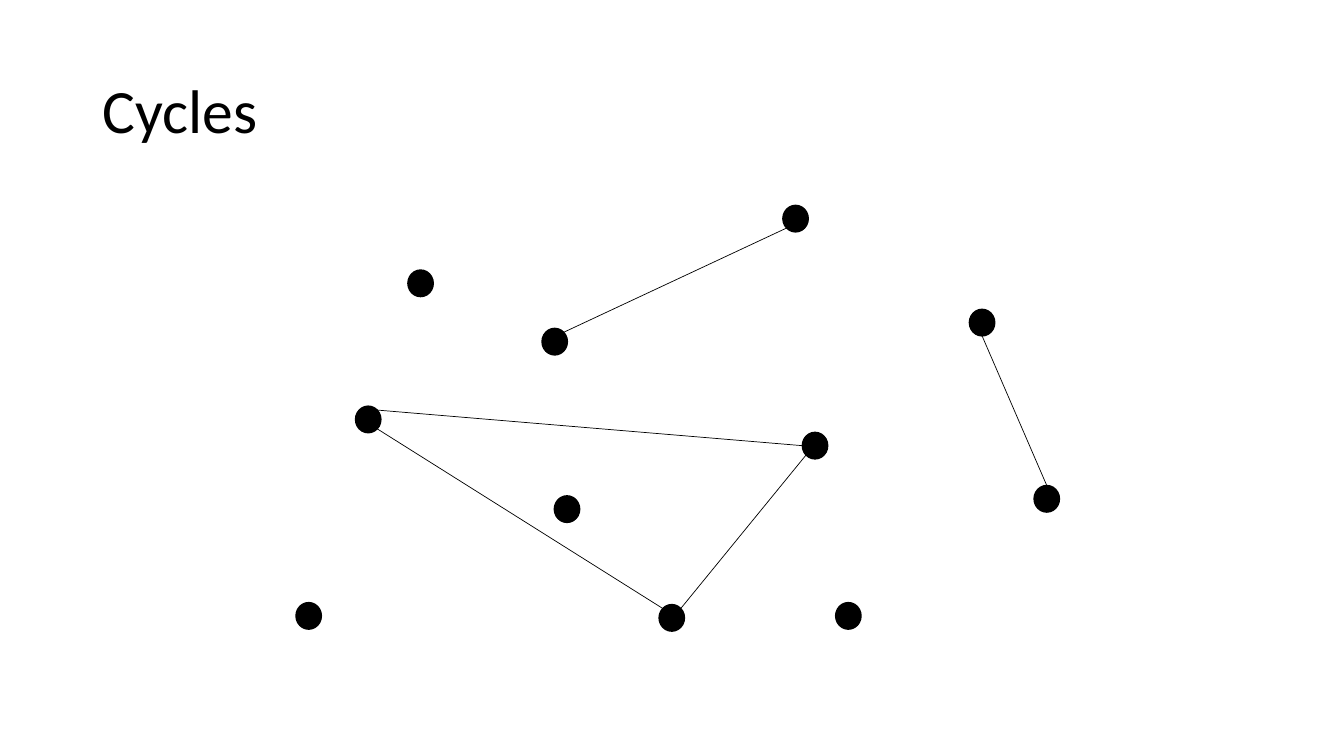
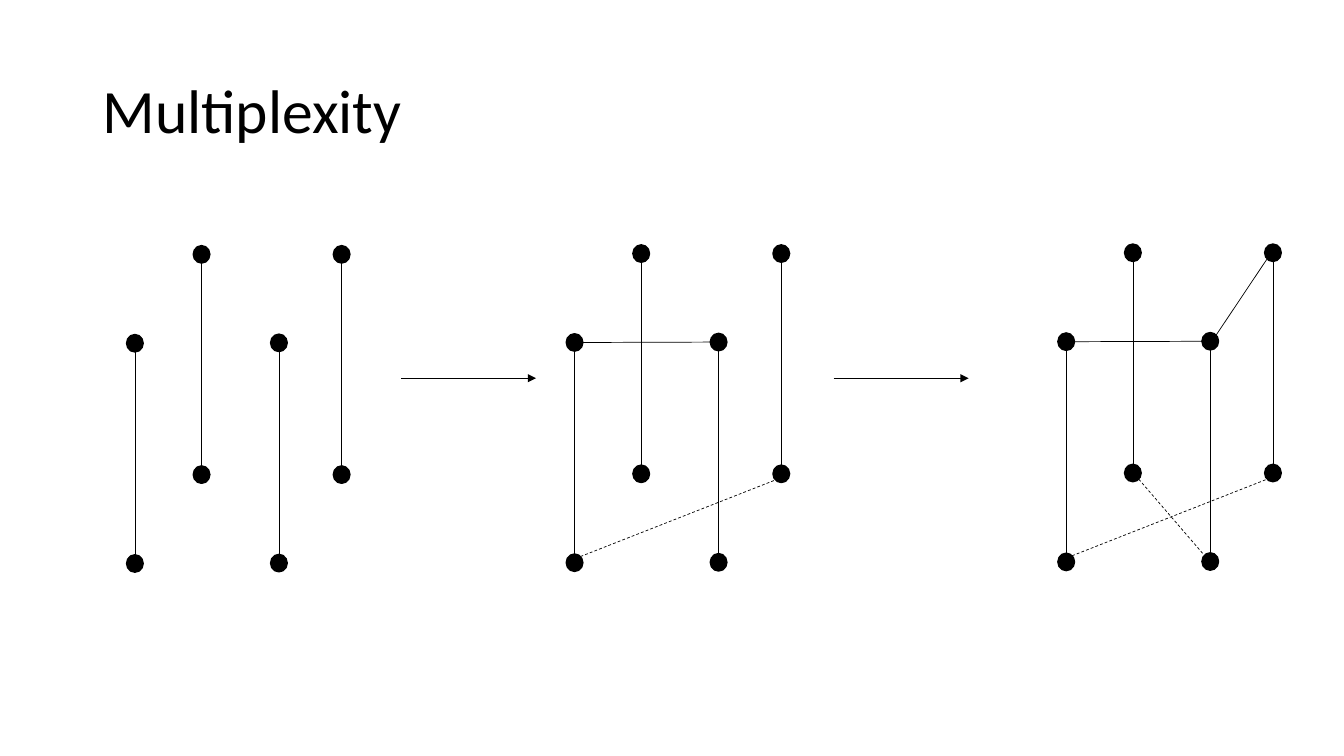
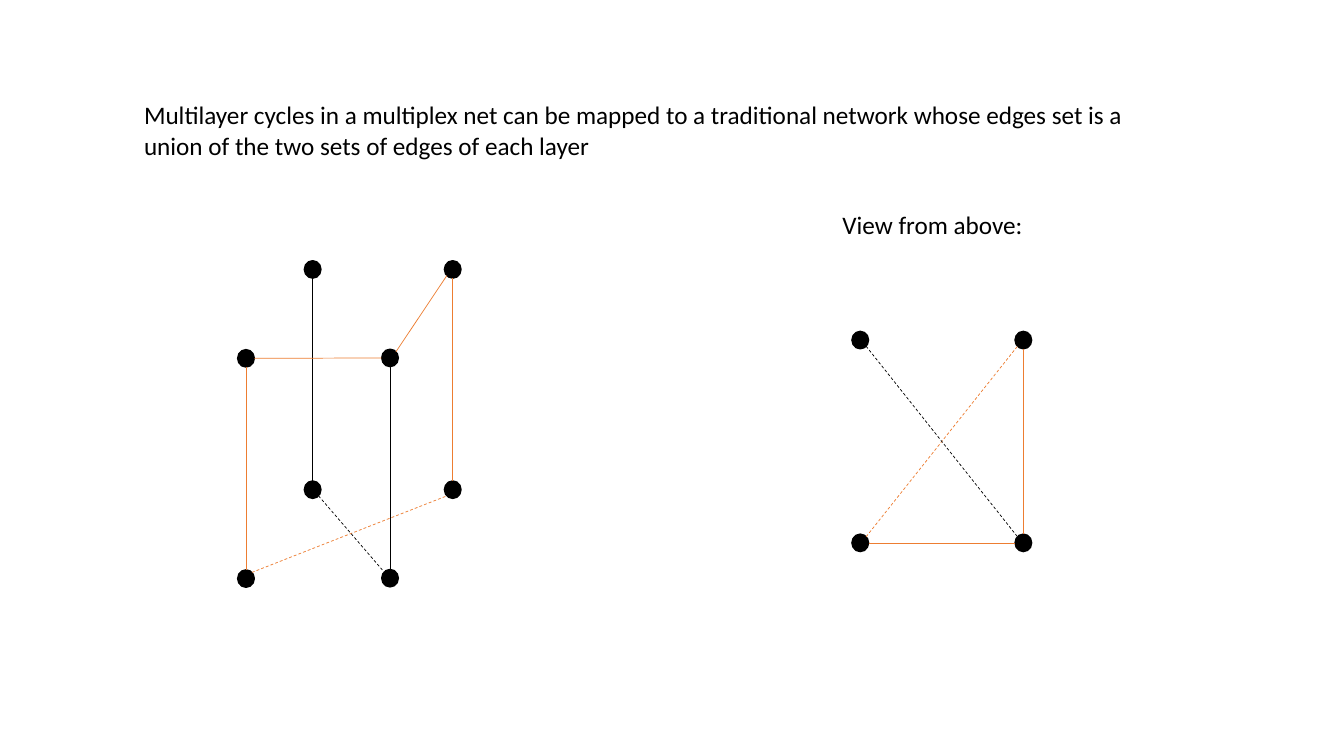
from math import cos, radians, sin

from lxml import etree
from pptx import Presentation
from pptx.dml.color import RGBColor
from pptx.enum.dml import MSO_LINE
from pptx.enum.shapes import MSO_CONNECTOR, MSO_SHAPE
from pptx.enum.text import MSO_ANCHOR, PP_ALIGN
from pptx.oxml.ns import qn
from pptx.util import Cm, Pt

STRAIGHT = MSO_CONNECTOR.STRAIGHT
OVAL = MSO_SHAPE.OVAL
DASH = MSO_LINE.DASH
LEFT = PP_ALIGN.LEFT
TOP_ANCHOR, MIDDLE_ANCHOR = MSO_ANCHOR.TOP, MSO_ANCHOR.MIDDLE

FONT = "Calibri"
BLACK, ORANGE = "000000", "ED7D31"
TITLE_ONLY, BLANK = 5, 6
TITLE_AREA = (2.33, 1.01, 29.21, 3.68)
LARGE_DOT, SMALL_DOT = (0.64, 0.67), (0.42, 0.44)

# Connection sites of an ellipse, counter-clockwise from the top
(TOP, TOP_LEFT, SIDE_LEFT, BOTTOM_LEFT,
 BOTTOM, BOTTOM_RIGHT, SIDE_RIGHT, TOP_RIGHT) = range(8)

# Nodes are centres in cm; edges are (start, site, end, site, dashed)
CYCLE_NODES = {
    "a": (10.6, 7.14), "b": (9.28, 10.57), "c": (20.05, 5.51),
    "d": (13.98, 8.61), "e": (14.29, 12.83), "f": (20.54, 11.23),
    "g": (7.78, 15.52), "h": (16.93, 15.57), "i": (24.75, 8.13),
    "j": (21.38, 15.52), "k": (26.38, 12.57),
}
CYCLE_EDGES = {
    "d-c": ("d", TOP_RIGHT, "c", BOTTOM_LEFT, False),
    "b-h": ("b", BOTTOM_RIGHT, "h", TOP_LEFT, False),
    "i-k": ("i", BOTTOM, "k", TOP, False),
    "h-f": ("h", TOP_RIGHT, "f", BOTTOM_LEFT, False),
    "b-f": ("b", TOP_RIGHT, "f", SIDE_LEFT, False),
}

# Two layers of the same four actors, offsets from the upper first actor
ACTORS = {1: (0, 0), 2: (3.63, -0.01), 3: (1.68, -2.24), 4: (5.21, -2.24)}
LAYER_DROP = 5.55
PILLARS = {f"pillar {actor}": (f"upper {actor}", BOTTOM, f"lower {actor}", TOP, False)
           for actor in ACTORS}
FIRST_TIES = {
    "upper 1-2": ("upper 1", SIDE_RIGHT, "upper 2", SIDE_LEFT, False),
    "lower 1-4": ("lower 1", TOP_RIGHT, "lower 4", BOTTOM_LEFT, True),
}
LATER_TIES = {
    "upper 2-4": ("upper 2", TOP_RIGHT, "upper 4", BOTTOM_LEFT, False),
    "lower 3-2": ("lower 3", BOTTOM_RIGHT, "lower 2", TOP_LEFT, True),
}
ALL_EDGES = PILLARS | FIRST_TIES | LATER_TIES
STAGES = [
    ((3.4, 8.65), PILLARS),
    ((14.48, 8.63), PILLARS | FIRST_TIES),
    ((26.87, 8.61), ALL_EDGES),
]
ARROW_STARTS, ARROW_LENGTH, ARROW_Y = (10.11, 21.01), 3.4, 9.53

MULTILAYER_CYCLE = {"pillar 1", "pillar 4", "upper 1-2", "upper 2-4", "lower 1-4"}
SQUARE_NODES = {3: (21.68, 8.57), 4: (25.79, 8.57), 1: (21.68, 13.68), 2: (25.79, 13.68)}
SQUARE_EDGES = {
    "1-2": (1, SIDE_RIGHT, 2, SIDE_LEFT, False),
    "4-2": (4, BOTTOM, 2, TOP, False),
    "1-4": (1, TOP_RIGHT, 4, BOTTOM_LEFT, True),
    "3-2": (3, BOTTOM_RIGHT, 2, TOP_LEFT, True),
}
NOTES = [
    ("Multilayer cycles in a multiplex net can be mapped to a traditional network "
     "whose edges set is a union of the two sets of edges of each layer",
     (3.38, 2.39, 26.52, 1.8)),
    ("View from above:", (20.98, 5.16, 8.61, 1.02)),
]


def color(hex_string):
    return RGBColor.from_string(hex_string)


def write(box, text, size=18, anchor=TOP_ANCHOR, spacing=1.0):
    frame = box.text_frame
    frame.word_wrap = True
    frame.vertical_anchor = anchor
    para = frame.paragraphs[0]
    para.alignment = LEFT
    para.line_spacing = spacing
    span = para.add_run()
    span.text = text
    span.font.name = FONT
    span.font.size = Pt(size)
    span.font.color.rgb = color(BLACK)


def add_titled_page(deck, text):
    page = deck.slides.add_slide(deck.slide_layouts[TITLE_ONLY])
    title = page.shapes.title
    title.left, title.top, title.width, title.height = map(Cm, TITLE_AREA)
    write(title, text, size=44, anchor=MIDDLE_ANCHOR, spacing=0.9)
    return page


def add_line(page, start, end, hue=BLACK, dashed=False, arrow=False):
    line = page.shapes.add_connector(STRAIGHT, *map(Cm, (*start, *end)))
    line.line.color.rgb = color(hue)
    line.line.width = Pt(0.5)
    if dashed:
        line.line.dash_style = DASH
    if arrow:
        etree.SubElement(line.line._get_or_add_ln(), qn("a:tailEnd"), type="triangle")
    etree.SubElement(line.element.spPr, qn("a:effectLst"))
    return line


def add_dot(page, center, size):
    left, top = (middle - extent / 2 for middle, extent in zip(center, size))
    dot = page.shapes.add_shape(OVAL, *map(Cm, (left, top, *size)))
    dot.shadow.inherit = False
    dot.fill.solid()
    dot.fill.fore_color.rgb = color(BLACK)
    dot.line.color.rgb = color(BLACK)
    dot.line.width = Pt(1)
    return dot


def site_point(center, size, site):
    """Return where a connection site lies on the rim of a dot."""
    angle = radians(90 + 45 * site)
    return (center[0] + size[0] / 2 * cos(angle), center[1] - size[1] / 2 * sin(angle))


def glue(line, tag, dot, site):
    """Attach one end of a line to a connection site of a dot."""
    links = line.element.find(".//" + qn("p:cNvCxnSpPr"))
    etree.SubElement(links, qn(tag), id=str(dot.shape_id), idx=str(site))


def draw_graph(page, nodes, edges, size=SMALL_DOT, highlighted=()):
    dots = {name: add_dot(page, center, size) for name, center in nodes.items()}
    for name, (start, start_site, end, end_site, dashed) in edges.items():
        line = add_line(page,
                        site_point(nodes[start], size, start_site),
                        site_point(nodes[end], size, end_site),
                        hue=ORANGE if name in highlighted else BLACK,
                        dashed=dashed)
        glue(line, "a:stCxn", dots[start], start_site)
        glue(line, "a:endCxn", dots[end], end_site)


def layered_nodes(origin):
    """Place the actors of both layers, from the upper first actor."""
    return {f"{layer} {actor}": (origin[0] + x, origin[1] + y + drop)
            for layer, drop in (("upper", 0), ("lower", LAYER_DROP))
            for actor, (x, y) in ACTORS.items()}


def main():
    deck = Presentation()
    deck.slide_width, deck.slide_height = Cm(33.87), Cm(19.05)

    page = add_titled_page(deck, "Cycles")
    draw_graph(page, CYCLE_NODES, CYCLE_EDGES, size=LARGE_DOT)

    page = add_titled_page(deck, "Multiplexity")
    for origin, edges in STAGES:
        draw_graph(page, layered_nodes(origin), edges)
    for x in ARROW_STARTS:
        add_line(page, (x, ARROW_Y), (x + ARROW_LENGTH, ARROW_Y), arrow=True)

    page = deck.slides.add_slide(deck.slide_layouts[BLANK])
    draw_graph(page, layered_nodes((6.2, 9.03)), ALL_EDGES, highlighted=MULTILAYER_CYCLE)
    draw_graph(page, SQUARE_NODES, SQUARE_EDGES, highlighted={"1-2", "4-2", "1-4"})
    for text, area in NOTES:
        write(page.shapes.add_textbox(*map(Cm, area)), text)

    deck.save("out.pptx")


if __name__ == "__main__":
    main()
